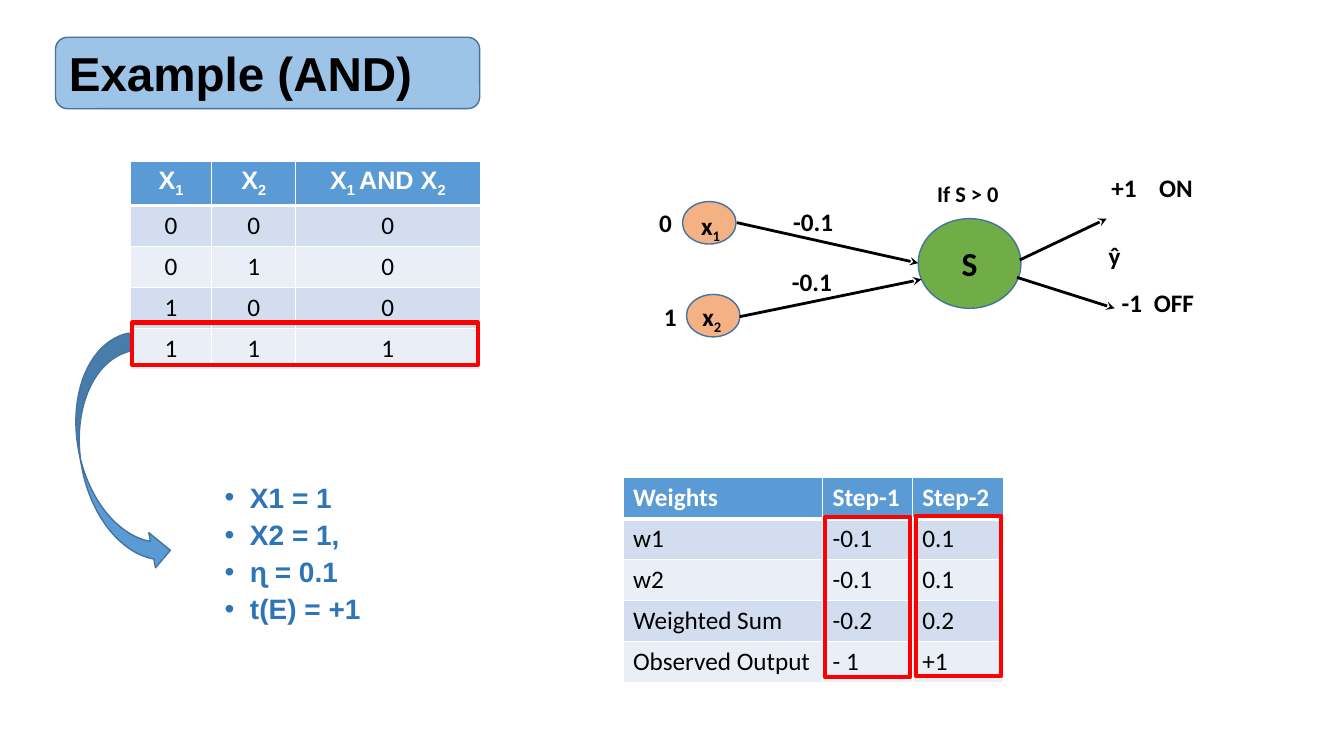
import pptx
import pptx.util
import pptx.dml.color
import pptx.enum.shapes
import pptx.enum.text
import pptx.oxml.ns
import lxml.etree

Cm = pptx.util.Cm
Pt = pptx.util.Pt
SHAPE = pptx.enum.shapes.MSO_SHAPE
ALIGN = pptx.enum.text.PP_ALIGN
ANCHOR = pptx.enum.text.MSO_ANCHOR

BLACK, WHITE, RED = "000000", "FFFFFF", "FF0000"
BLUE, EDGE, SKY, INK = "5B9BD5", "43739E", "9DC3E6", "2E75B6"
PEACH, GREEN = "F4B183", "70AD47"
BANDS = ["EAEFF7", "D2DEEF"]
ROW = 1.03


def color(code):
    return pptx.dml.color.RGBColor.from_string(code)


def child(node, tag, **attrs):
    return lxml.etree.SubElement(node, pptx.oxml.ns.qn(tag), attrs)


def write(para, text, size, tint=BLACK, bold=True, font="Calibri"):
    """Fill a paragraph; pieces between underscores alternate base and subscript."""
    for index, piece in enumerate(text.split("_")):
        run = para.add_run()
        run.text = piece
        run.font.size = Pt(size)
        run.font.name = font
        run.font.bold = bold
        run.font.color.rgb = color(tint)
        if index % 2:
            run.font._element.set("baseline", "-25000")


def add_shape(slide, kind, box, fill=None, line=EDGE, width=1):
    shape = slide.shapes.add_shape(kind, *map(Cm, box))
    shape.shadow.inherit = False
    if fill:
        shape.fill.solid()
        shape.fill.fore_color.rgb = color(fill)
    else:
        shape.fill.background()
    shape.line.color.rgb = color(line)
    shape.line.width = Pt(width)
    return shape


def add_words(shape, text, size, align, font="Calibri"):
    frame = shape.text_frame
    frame.vertical_anchor = ANCHOR.MIDDLE
    para = frame.paragraphs[0]
    para.alignment = align
    write(para, text, size, font=font)


def add_label(slide, text, left, top, width, size=18, tab=None):
    box = slide.shapes.add_textbox(Cm(left), Cm(top), Cm(width), Cm(1.02))
    box.text_frame.word_wrap = True
    para = box.text_frame.paragraphs[0]
    if tab:
        stops = child(para._p.get_or_add_pPr(), "a:tabLst")
        child(stops, "a:tab", pos=str(Cm(tab)), algn="l")
    write(para, text, size)


def add_arrow(slide, ends):
    line = slide.shapes.add_connector(
        pptx.enum.shapes.MSO_CONNECTOR.STRAIGHT, *map(Cm, ends))
    line.line.color.rgb = color(BLACK)
    line.line.width = Pt(2)
    child(line.line._get_or_add_ln(), "a:tailEnd", type="stealth")
    child(line._element.spPr, "a:effectLst")


def add_edges(cell, below):
    """Draw white cell borders, the bottom one as wide as below."""
    props = cell._tc.get_or_add_tcPr()
    for side, width in zip("LRTB", [1, 1, 1, below]):
        edge = child(props, "a:ln" + side, w=str(Pt(width)))
        child(child(edge, "a:solidFill"), "a:srgbClr", val=WHITE)


def add_table(slide, left, top, widths, rows, align, font):
    """Add a banded table; font is used in its head row."""
    frame = slide.shapes.add_table(
        len(rows), len(widths), Cm(left), Cm(top),
        Cm(sum(widths)), Cm(ROW * len(rows)))
    table = frame.table
    for column, width in zip(table.columns, widths):
        column.width = Cm(width)
    for r, texts in enumerate(rows):
        head = r == 0
        table.rows[r].height = Cm(ROW)
        for c, text in enumerate(texts):
            cell = table.cell(r, c)
            add_edges(cell, 3 if head else 1)
            cell.fill.solid()
            cell.fill.fore_color.rgb = color(BLUE if head else BANDS[r % 2])
            para = cell.text_frame.paragraphs[0]
            para.alignment = align
            write(para, text, 18, WHITE if head else BLACK, head,
                  font if head else "Calibri")


def add_list(slide, box, items):
    frame = slide.shapes.add_textbox(*map(Cm, box)).text_frame
    frame.word_wrap = True
    for index, item in enumerate(items):
        para = frame.add_paragraph() if index else frame.paragraphs[0]
        props = para._p.get_or_add_pPr()
        props.set("marL", str(Cm(0.64)))
        props.set("indent", str(-Cm(0.64)))
        child(props, "a:buFont", typeface="Arial")
        child(props, "a:buChar", char="•")
        para.line_spacing = 0.9
        if index:
            para.space_before = Pt(5)
        write(para, item, 20, INK, font="Arial")


def add_neuron(slide):
    for left, top in [(17.2, 5.08), (17.3, 7.42)]:
        add_shape(slide, SHAPE.OVAL, (left, top, 1.35, 1.07), PEACH)
    core = add_shape(slide, SHAPE.OVAL, (23.14, 5.51, 2.59, 2.26), GREEN)
    add_words(core, "S", 24, ALIGN.CENTER)
    for ends in [(18.57, 5.61, 23.14, 6.63), (18.64, 7.98, 23.22, 7.04),
                 (25.7, 6.55, 27.89, 5.51), (25.63, 6.99, 28.09, 7.77)]:
        add_arrow(slide, ends)
    for text, left, top, width in [
            ("x_1", 17.42, 5.18, 1.19), ("x_2", 17.45, 7.47, 1.19),
            ("0", 16.36, 5.11, 1.19), ("1", 16.48, 7.47, 1.19),
            ("-0.1", 19.74, 5.08, 1.83), ("-0.1", 19.71, 6.58, 2.24),
            ("ŷ", 27.69, 5.92, 1.19)]:
        add_label(slide, text, left, top, width)
    add_label(slide, "If S > 0", 23.37, 4.42, 2.64, size=16)
    add_label(slide, "+1\tON", 27.76, 4.22, 3.05, tab=1.2)
    add_label(slide, "-1\tOFF", 28.02, 7.11, 2.79, tab=0.81)


def main():
    deck = pptx.Presentation()
    deck.slide_width = Cm(33.87)
    deck.slide_height = Cm(19.05)
    slide = deck.slides.add_slide(deck.slide_layouts[6])

    title = add_shape(slide, SHAPE.ROUNDED_RECTANGLE,
                      (1.4, 0.94, 10.69, 1.8), SKY)
    add_words(title, "Example (AND)", 34, ALIGN.LEFT, "Arial")
    add_neuron(slide)

    truth = [["X_1", "X_2", "X_1 _AND X_2"]]
    truth += [[str(a), str(b), str(a & b)] for a in (0, 1) for b in (0, 1)]
    add_table(slide, 3.28, 4.06, [2.06, 2.11, 4.65], truth,
              ALIGN.CENTER, "Arial")
    steps = [["Weights", "Step-1", "Step-2"],
             ["w1", "-0.1", "0.1"],
             ["w2", "-0.1", "0.1"],
             ["Weighted Sum", "-0.2", "0.2"],
             ["Observed Output", "- 1", "+1"]]
    add_table(slide, 15.7, 12.04, [5.03, 2.26, 2.29], steps,
              ALIGN.LEFT, "Calibri")
    add_list(slide, (5.41, 12.07, 8.03, 5.23),
             ["X1 = 1", "X2 = 1,", "ɳ = 0.1", "t(E) = +1"])

    curve = add_shape(slide, SHAPE.CURVED_RIGHT_ARROW,
                      (2.03, 8.51, 1.8, 6.02), BLUE)
    curve.rotation = 349.2
    for box in [(3.33, 8.13, 8.71, 1.07), (20.8, 13.03, 2.13, 4.04),
                (23.09, 13, 2.13, 4.04)]:
        add_shape(slide, SHAPE.RECTANGLE, box, line=RED, width=3)
    deck.save("out.pptx")


if __name__ == "__main__":
    main()
